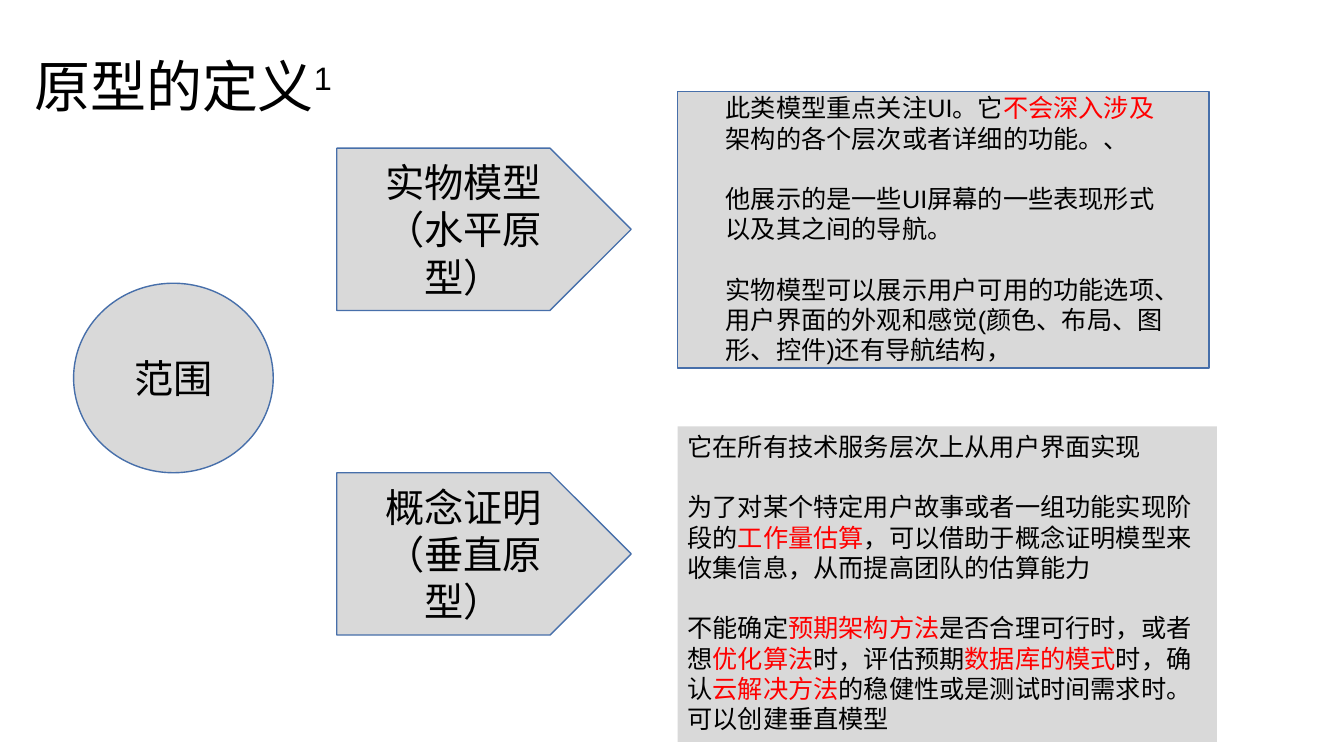
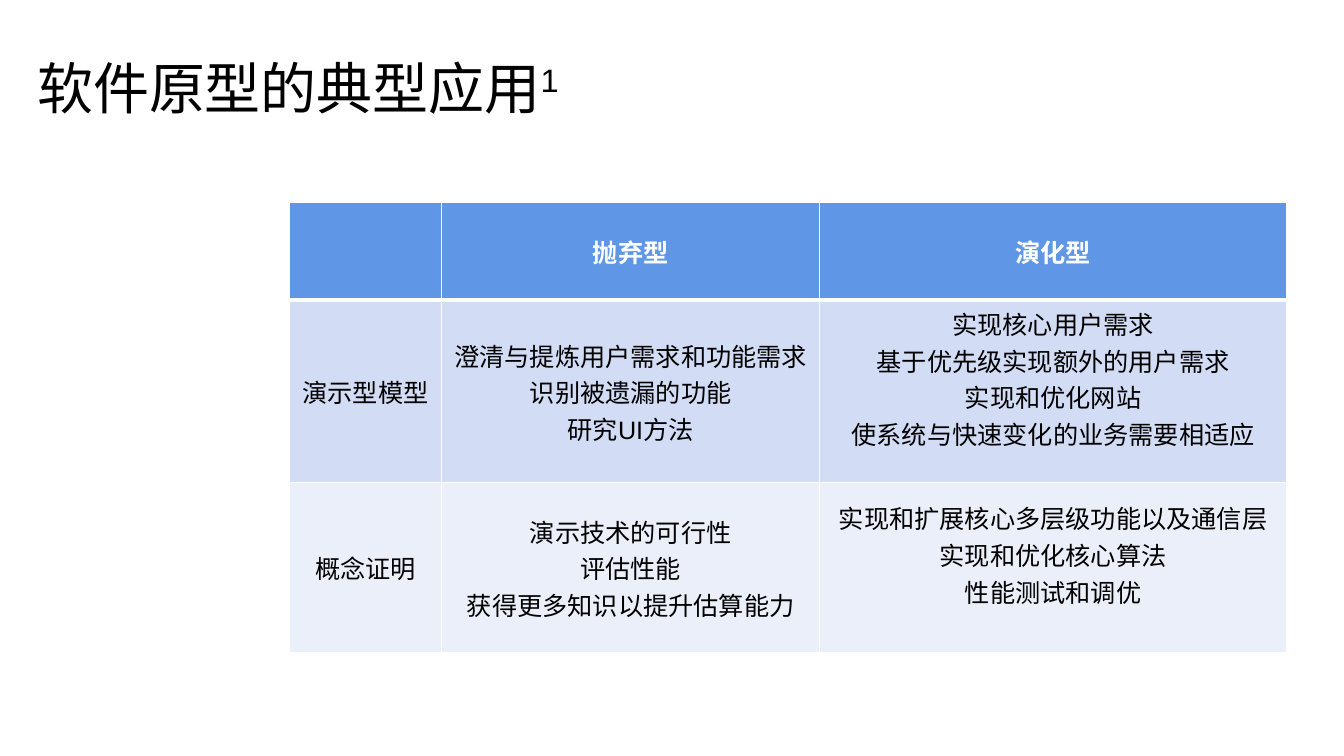
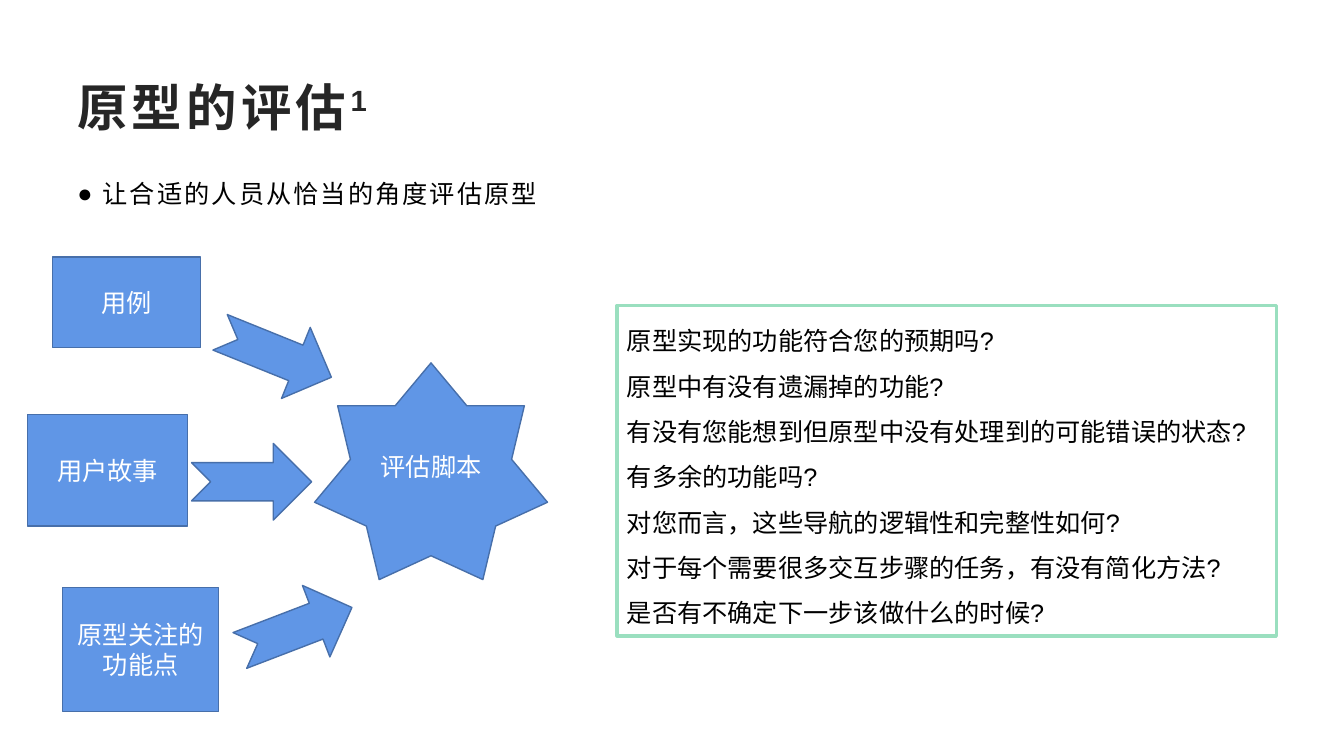
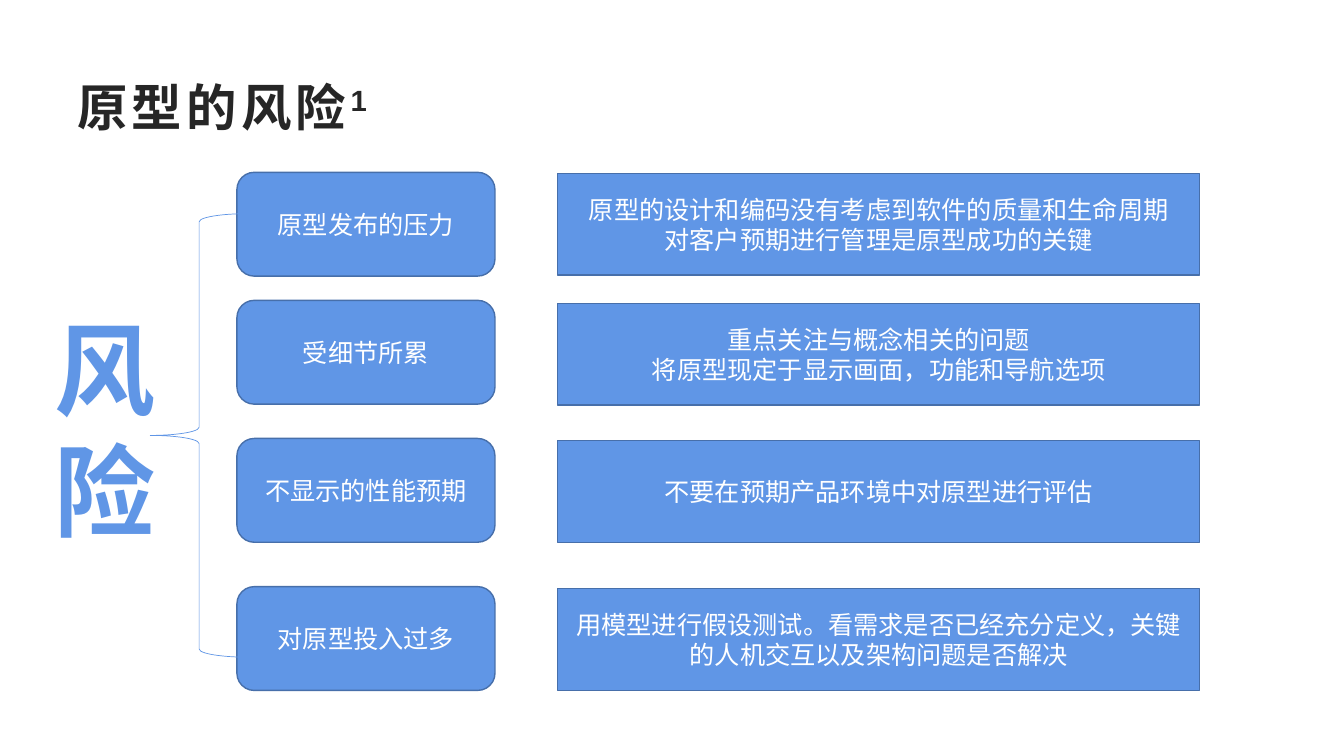
from lxml import etree
from pptx import Presentation
from pptx.dml.color import RGBColor
from pptx.enum.shapes import MSO_SHAPE
from pptx.enum.text import MSO_ANCHOR, PP_ALIGN
from pptx.oxml.ns import qn
from pptx.util import Inches, Pt

BLACK = RGBColor(0x00, 0x00, 0x00)
WHITE = RGBColor(0xFF, 0xFF, 0xFF)
RED = RGBColor(0xFF, 0x00, 0x00)
DARK = RGBColor(0x26, 0x26, 0x26)
GREY = RGBColor(0xD9, 0xD9, 0xD9)
BLUE = RGBColor(0x60, 0x96, 0xE6)
EDGE = RGBColor(0x47, 0x6F, 0xAA)
GREEN = RGBColor(0x9A, 0xDF, 0xBF)
PALE = RGBColor(0xD2, 0xDD, 0xF5)
PALER = RGBColor(0xEA, 0xEF, 0xFA)

RECT = MSO_SHAPE.RECTANGLE
ROUNDED = MSO_SHAPE.ROUNDED_RECTANGLE
OVAL = MSO_SHAPE.OVAL
PENTAGON = MSO_SHAPE.PENTAGON
STAR = MSO_SHAPE.STAR_7_POINT
ARROW = MSO_SHAPE.NOTCHED_RIGHT_ARROW
BRACE = MSO_SHAPE.LEFT_BRACE
LEFT, CENTER = PP_ALIGN.LEFT, PP_ALIGN.CENTER
TOP, MIDDLE = MSO_ANCHOR.TOP, MSO_ANCHOR.MIDDLE

FONT = "Arial"
LINE_RATIO = 1.2
BLANK_LINE = 21.6

PLAIN_TITLE = {"size": 40, "color": BLACK}
BOLD_TITLE = {"size": 36, "color": DARK, "bold": True, "tracking": 300, "anchor": MIDDLE}
BOLD_TITLE_AREA = (0.67, 0.67, 12, 0.77)
LABEL = {"size": 18, "color": WHITE, "align": CENTER, "anchor": MIDDLE}
GREY_LABEL = {"size": 28, "color": BLACK, "align": CENTER, "anchor": MIDDLE}
NOTE = {"size": 18, "color": BLACK, "before": BLANK_LINE}

SCOPE = ["范围"]
PROTOTYPE_KINDS = [
    (1.47, ["实物模型（水平原型）"]),
    (4.69, ["概念证明", "（垂直原型）"]),
]
MOCKUP_NOTES = [
    ("此类模型重点关注UI。它", "不会深入涉及", "架构的各个层次或者详细的功能。、"),
    "他展示的是一些UI屏幕的一些表现形式以及其之间的导航。",
    "实物模型可以展示用户可用的功能选项、用户界面的外观和感觉(颜色、布局、图形、控件)还有导航结构，",
]
PROOF_NOTES = [
    "它在所有技术服务层次上从用户界面实现",
    ("为了对某个特定用户故事或者一组功能实现阶段的", "工作量估算",
     "，可以借助于概念证明模型来收集信息，从而提高团队的估算能力"),
    ("不能确定", "预期架构方法", "是否合理可行时，或者想", "优化算法", "时，评估预期",
     "数据库的模式", "时，确认", "云解决方法", "的稳健性或是测试时间需求时。可以创建垂直模型"),
]

USES = [
    [[], ["抛弃型"], ["演化型"]],
    [["演示型模型"],
     ["澄清与提炼用户需求和功能需求", "识别被遗漏的功能", "研究UI方法"],
     ["实现核心用户需求", "基于优先级实现额外的用户需求", "实现和优化网站", "使系统与快速变化的业务需要相适应"]],
    [["概念证明"],
     ["演示技术的可行性", "评估性能", "获得更多知识以提升估算能力"],
     ["实现和扩展核心多层级功能以及通信层实现和优化核心算法", "性能测试和调优"]],
]
COLUMN_WIDTHS = [1.51, 3.75, 4.63]
ROW_HEIGHTS = [0.97, 1.81, 1.68]
ROW_FILLS = [BLUE, PALE, PALER]

INPUTS = [
    ("用例", (0.52, 2.55, 1.47, 0.9)),
    ("用户故事", (0.27, 4.11, 1.59, 1.11)),
    ("原型关注的功能点", (0.62, 5.83, 1.55, 1.23)),
]
ARROWS = [(2.14, 3.14, 22), (1.9, 4.4, 0), (2.34, 5.86, 339)]
QUESTIONS = [
    "原型实现的功能符合您的预期吗?",
    "原型中有没有遗漏掉的功能?",
    "有没有您能想到但原型中没有处理到的可能错误的状态?",
    "有多余的功能吗?",
    "对您而言，这些导航的逻辑性和完整性如何?",
    "对于每个需要很多交互步骤的任务，有没有简化方法?",
    "是否有不确定下一步该做什么的时候?",
]

RISKS = [
    (1.71, "原型发布的压力", 1.72,
     ["原型的设计和编码没有考虑到软件的质量和生命周期", "对客户预期进行管理是原型成功的关键"]),
    (2.98, "受细节所累", 3.01,
     ["重点关注与概念相关的问题", "将原型现定于显示画面，功能和导航选项"]),
    (4.35, "不显示的性能预期", 4.37, ["不要在预期产品环境中对原型进行评估"]),
    (5.82, "对原型投入过多", 5.84,
     ["用模型进行假设测试。看需求是否已经充分定义，关键的人机交互以及架构问题是否解决"]),
]


def add_span(para, text, size, color, bold=False, tracking=0, raised=False):
    span = para.add_run()
    span.text = text
    for name, value in {"name": FONT, "size": Pt(size), "bold": bold}.items():
        setattr(span.font, name, value)
    span.font.color.rgb = color
    properties = span.font._element
    properties.set("lang", "zh-CN")
    if tracking:
        properties.set("spc", str(tracking))
    if raised:
        properties.set("baseline", "30000")


def write(frame, paragraphs, size, color, align=LEFT, anchor=TOP, before=0,
          ratio=LINE_RATIO, **span_format):
    frame.word_wrap = True
    frame.vertical_anchor = anchor
    for index, parts in enumerate(paragraphs):
        para = frame.paragraphs[0] if index == 0 else frame.add_paragraph()
        para.alignment = align
        para.line_spacing = Pt(round(size * ratio, 1))
        if index and before:
            para.space_before = Pt(before)
        if isinstance(parts, str):
            parts = (parts,)
        for position, text in enumerate(parts):
            add_span(para, text, size, RED if position % 2 else color, **span_format)


def add_text(page, area, paragraphs, **text_format):
    box = page.shapes.add_textbox(*map(Inches, area))
    write(box.text_frame, paragraphs, **text_format)
    return box


def add_box(page, kind, area, fill=BLUE, line=EDGE, weight=1, paragraphs=(), **text_format):
    box = page.shapes.add_shape(kind, *map(Inches, area))
    box.shadow.inherit = False
    if fill is None:
        box.fill.background()
    else:
        box.fill.solid()
        box.fill.fore_color.rgb = fill
    if line is None:
        box.line.fill.background()
    else:
        box.line.color.rgb = line
        box.line.width = Pt(weight)
    if paragraphs:
        write(box.text_frame, paragraphs, **text_format)
    return box


def add_title(page, text, area, style):
    box = add_text(page, area, [text], **style)
    span_format = {key: value for key, value in style.items() if key != "anchor"}
    add_span(box.text_frame.paragraphs[0], "1", raised=True, **span_format)


def set_borders(cell, bottom):
    properties = cell._tc.get_or_add_tcPr()
    widths = {"a:lnL": 1, "a:lnR": 1, "a:lnT": 1, "a:lnB": bottom}
    for index, (tag, width) in enumerate(widths.items()):
        border = etree.Element(qn(tag), w=str(Pt(width)))
        fill = etree.SubElement(border, qn("a:solidFill"))
        etree.SubElement(fill, qn("a:srgbClr"), val=str(WHITE))
        properties.insert(index, border)


def build_definition(page):
    for top, name in PROTOTYPE_KINDS:
        add_box(page, PENTAGON, (3.34, top, 2.92, 1.61), GREY, paragraphs=name, **GREY_LABEL)
    add_box(page, OVAL, (0.73, 2.81, 1.98, 1.88), GREY, paragraphs=SCOPE, **GREY_LABEL)
    add_box(page, RECT, (6.72, 0.91, 5.27, 2.74), GREY)
    add_text(page, (7.1, 0.87, 4.56, 2.83), MOCKUP_NOTES, **NOTE)
    add_title(page, "原型的定义", (0.24, 0.46, 3.61, 0.77), PLAIN_TITLE)
    add_box(page, RECT, (6.72, 4.23, 5.35, 3.13), GREY, None, paragraphs=PROOF_NOTES, **NOTE)


def build_uses(page):
    area = (2.87, 2.01, sum(COLUMN_WIDTHS), sum(ROW_HEIGHTS))
    table = page.shapes.add_table(len(USES), len(COLUMN_WIDTHS), *map(Inches, area)).table
    for column, width in zip(table.columns, COLUMN_WIDTHS):
        column.width = Inches(width)
    for row_index, row in enumerate(USES):
        table.rows[row_index].height = Inches(ROW_HEIGHTS[row_index])
        header = row_index == 0
        for column_index, paragraphs in enumerate(row):
            cell = table.cell(row_index, column_index)
            cell.fill.solid()
            cell.fill.fore_color.rgb = ROW_FILLS[row_index]
            set_borders(cell, 3 if header else 1)
            cell.vertical_anchor = MIDDLE
            if not header and column_index == 2:
                cell.margin_bottom = Inches(0.31)
            write(cell.text_frame, paragraphs, size=18, color=WHITE if header else BLACK,
                  align=CENTER, anchor=MIDDLE, ratio=1.45, bold=header)
    add_title(page, "软件原型的典型应用", (0.27, 0.48, 5.5, 0.77), PLAIN_TITLE)


def build_evaluation(page):
    add_title(page, "原型的评估", BOLD_TITLE_AREA, BOLD_TITLE)
    advice = add_text(page, (0.67, 1.63, 4.91, 0.64), ["让合适的人员从恰当的角度评估原型"],
                      size=18, color=BLACK, ratio=LINE_RATIO * 1.3, tracking=150)
    properties = advice.text_frame.paragraphs[0]._p.get_or_add_pPr()
    properties.set("marL", str(Inches(0.25)))
    properties.set("indent", str(Inches(-0.25)))
    etree.SubElement(properties, qn("a:buFont"), typeface=FONT)
    etree.SubElement(properties, qn("a:buChar"), char="●")
    add_box(page, STAR, (3.12, 3.6, 2.31, 2.15), paragraphs=["评估脚本"], **LABEL)
    for left, top, angle in ARROWS:
        add_box(page, ARROW, (left, top, 1.19, 0.76)).rotation = angle
    for name, area in INPUTS:
        add_box(page, RECT, area, paragraphs=[name], **LABEL)
    add_box(page, RECT, (6.12, 3.03, 6.54, 3.28), None, GREEN, 2.25, QUESTIONS,
            size=18, color=BLACK, ratio=LINE_RATIO * 1.5)


def build_risks(page):
    add_title(page, "原型的风险", BOLD_TITLE_AREA, BOLD_TITLE)
    for name_top, name, answer_top, answer in RISKS:
        add_box(page, ROUNDED, (2.35, name_top, 2.56, 1.03), paragraphs=[name], **LABEL)
        add_box(page, RECT, (5.53, answer_top, 6.37, 1.01), paragraphs=answer, **LABEL)
    add_box(page, BRACE, (1.49, 2.12, 0.97, 4.4), None, BLUE, 0.5)
    add_text(page, (0.44, 3, 1.14, 2.52), ["风险"], size=72, color=BLUE, align=CENTER, bold=True)


def main():
    deck = Presentation()
    deck.slide_width, deck.slide_height = Inches(13.33), Inches(7.5)
    for build in (build_definition, build_uses, build_evaluation, build_risks):
        build(deck.slides.add_slide(deck.slide_layouts[6]))
    deck.save("out.pptx")


if __name__ == "__main__":
    main()
